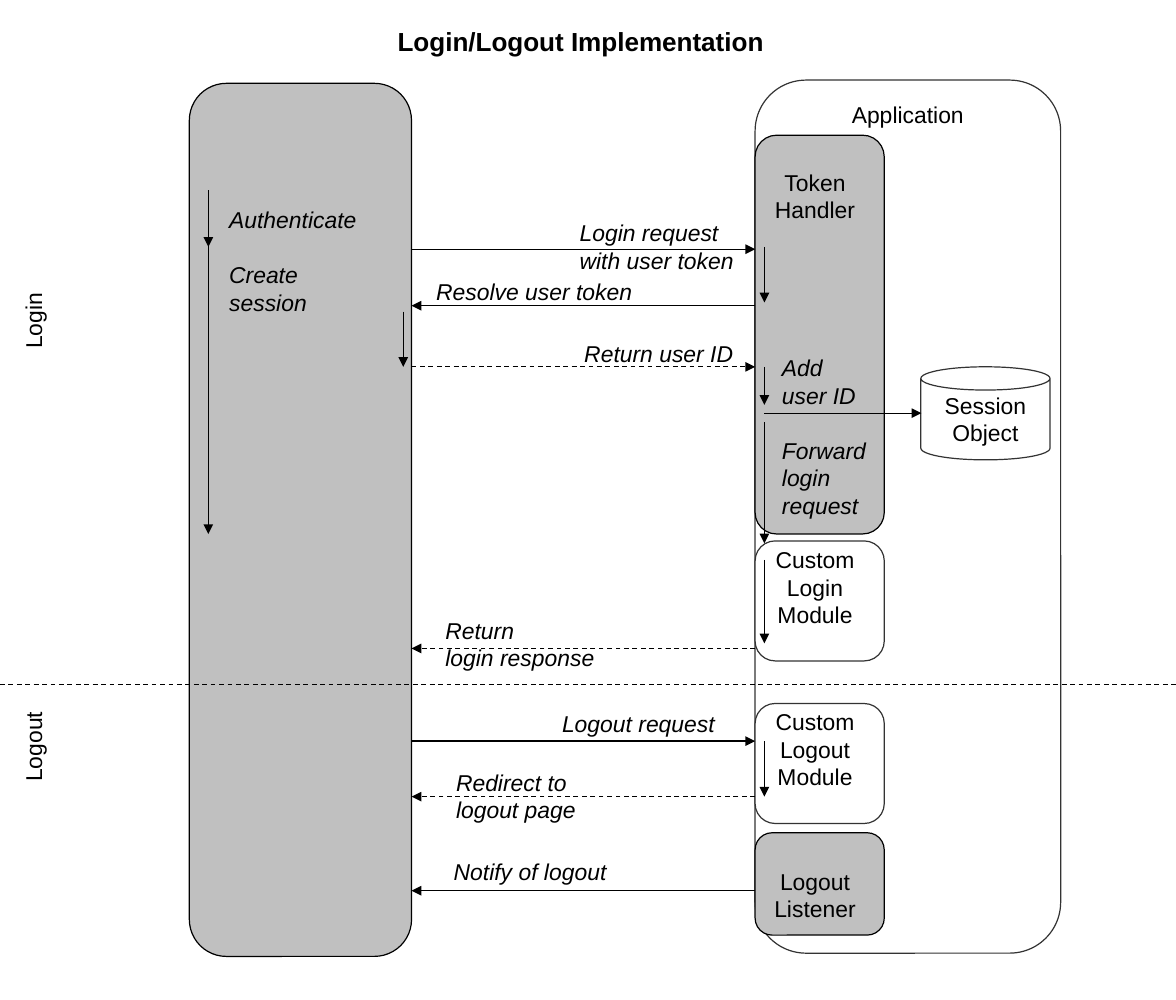
"""Build the login/logout sequence diagram slide."""
import pptx
import pptx.dml.color
import pptx.enum.dml
import pptx.enum.shapes
import pptx.enum.text
import pptx.oxml.ns
import pptx.util
from lxml import etree

Cm = pptx.util.Cm
RGB = pptx.dml.color.RGBColor.from_string
SHAPE = pptx.enum.shapes.MSO_SHAPE
ALIGN = pptx.enum.text.PP_ALIGN
ANCHOR = pptx.enum.text.MSO_ANCHOR
qn = pptx.oxml.ns.qn

COLORS = {"black": "000000", "outline": "333333", "gray": "C0C0C0", "white": "FFFFFF"}
SERVER_X, APP_X, CALL_X = 8.89, 16.31, 16.51
MODULE_W = 2.79


def write(tf, text, align, size=14, bold=False, italic=False):
    tf.text = text
    for p in tf.paragraphs:
        p.alignment = align
        for r in p.runs:
            r.font.name = "Arial"
            r.font.size = pptx.util.Pt(size)
            r.font.bold = bold
            r.font.italic = italic
            r.font.color.rgb = RGB(COLORS["black"])


def connect(x1, y1, x2, y2, dashed=False, arrow=True):
    sp = s.shapes.add_connector(
        pptx.enum.shapes.MSO_CONNECTOR.STRAIGHT, Cm(x1), Cm(y1), Cm(x2), Cm(y2))
    sp.line.color.rgb = RGB(COLORS["black"])
    sp.line.width = pptx.util.Pt(0.75)
    if dashed:
        sp.line.dash_style = pptx.enum.dml.MSO_LINE.DASH
    if arrow:
        etree.SubElement(sp.line._get_or_add_ln(), qn("a:tailEnd"), type="triangle")
    etree.SubElement(sp._element.spPr, qn("a:effectLst"))


prs = pptx.Presentation()
prs.slide_width, prs.slide_height = Cm(25.4), Cm(21.59)
s = prs.slides.add_slide(prs.slide_layouts[6])

boxes = [
    (SHAPE.ROUNDED_RECTANGLE, 4.09, 1.8, 4.8, 18.85, "gray", "black", ""),
    (SHAPE.ROUNDED_RECTANGLE, APP_X, 1.73, 6.6, 18.85, "white", "outline", "Application"),
    (SHAPE.ROUNDED_RECTANGLE, APP_X, 2.92, MODULE_W, 8.61, "gray", "black", ""),
    (SHAPE.ROUNDED_RECTANGLE, APP_X, 11.68, MODULE_W, 2.59, "white", "outline", ""),
    (SHAPE.ROUNDED_RECTANGLE, APP_X, 15.19, MODULE_W, 2.59, "white", "outline", ""),
    (SHAPE.ROUNDED_RECTANGLE, APP_X, 17.98, MODULE_W, 2.21, "gray", "black", ""),
    (SHAPE.CAN, 19.89, 7.92, MODULE_W, 2.01, "white", "outline", ""),
]
for kind, x, y, w, h, fill, line, text in boxes:
    sp = s.shapes.add_shape(kind, Cm(x), Cm(y), Cm(w), Cm(h))
    sp.shadow.inherit = False
    sp.fill.solid()
    sp.fill.fore_color.rgb = RGB(COLORS[fill])
    sp.line.color.rgb = RGB(COLORS[line])
    sp.line.width = pptx.util.Pt(0.75)
    if text:
        sp.text_frame.vertical_anchor = ANCHOR.TOP
        write(sp.text_frame, text, ALIGN.CENTER)

messages = [
    (5.38, True, False), (6.6, False, False), (7.92, True, True), (14, False, True),
    (16, True, False), (17.2, False, True), (19.23, False, False),
]
for y, to_app, dashed in messages:
    x1, x2 = (SERVER_X, APP_X) if to_app else (APP_X, SERVER_X)
    connect(x1, y, x2, y, dashed)

steps = [
    (4.5, 4.11, 5.33), (4.5, 5.13, 11.53), (8.71, 6.73, 7.92),
    (CALL_X, 5.33, 6.53), (CALL_X, 7.92, 8.74), (CALL_X, 9.12, 11.73),
    (CALL_X, 12.09, 13.89), (CALL_X, 16, 17.2),
]
for x, y1, y2 in steps:
    connect(x, y1, x, y2)
connect(CALL_X, 8.92, 19.9, 8.92)
connect(0, 14.78, 25.4, 14.78, dashed=True, arrow=False)

names = [
    (APP_X, 3.51, "Token\nHandler"),
    (APP_X, 11.66, "Custom\nLogin\nModule"),
    (APP_X, 15.16, "Custom\nLogout\nModule"),
    (APP_X, 18.6, "Logout\nListener"),
    (19.99, 8.33, "Session\nObject"),
]
for x, y, text in names:
    sp = s.shapes.add_textbox(Cm(x), Cm(y), Cm(2.59), Cm(0.25 + 0.6 * len(text.split("\n"))))
    sp.text_frame.word_wrap = True
    write(sp.text_frame, text, ALIGN.CENTER)

labels = [
    (4.7, 4.32, 3.99, "Authenticate"),
    (4.7, 5.51, 3.99, "Create\nsession"),
    (12.27, 4.6, 3.84, "Login request\nwith user token"),
    (9.17, 5.87, 4.75, "Resolve user token"),
    (12.37, 7.21, 3.73, "Return user ID"),
    (16.64, 7.52, 3.45, "Add\nuser ID"),
    (16.64, 9.3, 3.45, "Forward\nlogin\nrequest"),
    (9.37, 13.18, 3.73, "Return\nlogin response"),
    (11.89, 15.19, 3.81, "Logout request"),
    (9.6, 16.46, 3.1, "Redirect to\nlogout page"),
    (9.55, 18.39, 3.94, "Notify of logout"),
]
for x, y, w, text in labels:
    sp = s.shapes.add_textbox(Cm(x), Cm(y), Cm(w), Cm(0.25 + 0.6 * len(text.split("\n"))))
    sp.text_frame.word_wrap = False
    write(sp.text_frame, text, ALIGN.LEFT, italic=True)

for y, text in [(5.95, "Login"), (15.3, "Logout")]:
    sp = s.shapes.add_textbox(Cm(-0.68), Cm(y), Cm(2.8), Cm(0.86))
    sp.rotation = 270
    sp.text_frame.word_wrap = True
    write(sp.text_frame, text, ALIGN.LEFT)

sp = s.shapes.add_textbox(Cm(7.39), Cm(0.41), Cm(10.31), Cm(0.94))
sp.text_frame.word_wrap = False
sp.text_frame.vertical_anchor = ANCHOR.MIDDLE
write(sp.text_frame, "Login/Logout Implementation", ALIGN.CENTER, size=16, bold=True)

prs.save("out.pptx")
